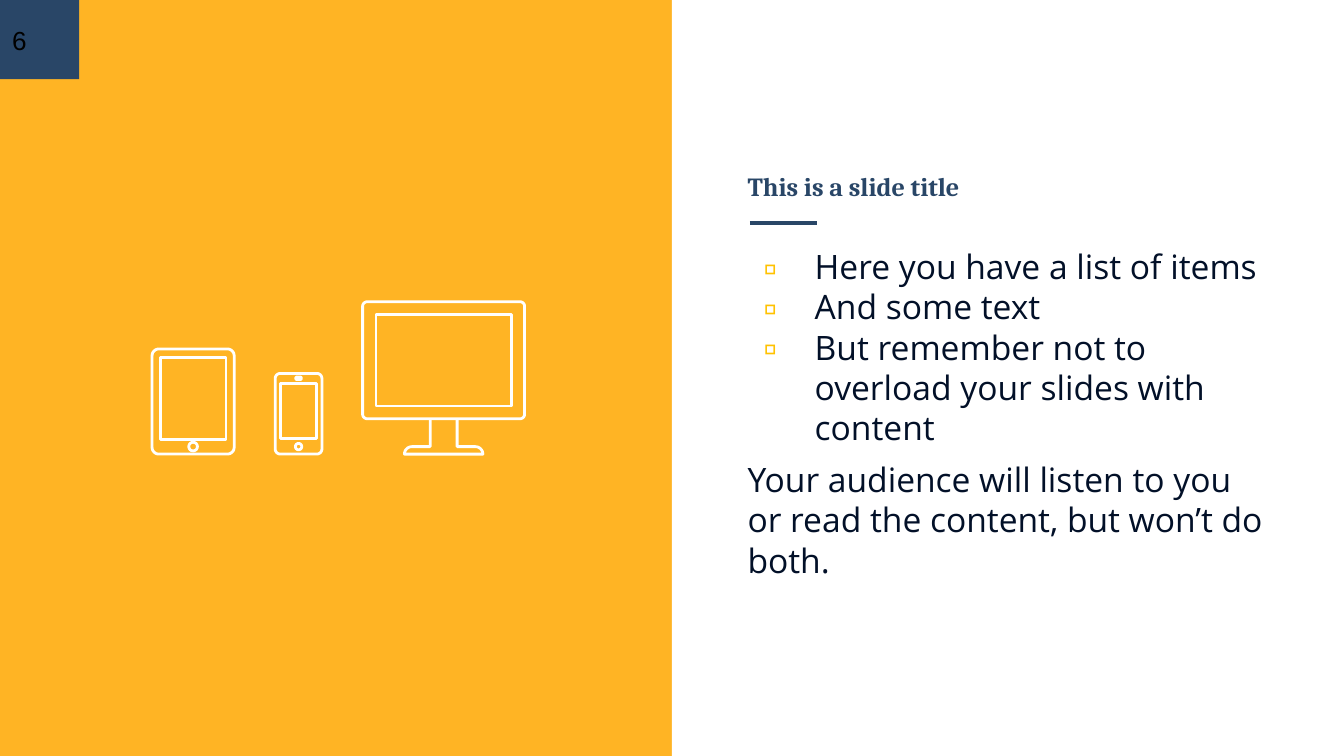
import math

from lxml import etree
from pptx import Presentation
from pptx.dml.color import RGBColor
from pptx.enum.shapes import MSO_CONNECTOR, MSO_SHAPE
from pptx.enum.text import MSO_ANCHOR
from pptx.oxml.ns import qn
from pptx.util import Pt

RECTANGLE = MSO_SHAPE.RECTANGLE
STRAIGHT = MSO_CONNECTOR.STRAIGHT
TOP, MIDDLE, BOTTOM = MSO_ANCHOR.TOP, MSO_ANCHOR.MIDDLE, MSO_ANCHOR.BOTTOM

WHITE = RGBColor(0xFF, 0xFF, 0xFF)
BLACK = RGBColor(0x00, 0x00, 0x00)
AMBER = RGBColor(0xFF, 0xA8, 0x00)
YELLOW = RGBColor(0xFF, 0xC2, 0x00)
NAVY = RGBColor(0x29, 0x46, 0x67)
INK = RGBColor(0x02, 0x10, 0x28)

ITEMS = [
    "Here you have a list of items",
    "And some text",
    "But remember not to overload your slides with content",
]
CLOSING = "Your audience will listen to you or read the content, but won’t do both."


def add_panel(page, box, color, opacity=100):
    panel = page.shapes.add_shape(RECTANGLE, *map(Pt, box))
    panel.shadow.inherit = False
    panel.fill.solid()
    panel.fill.fore_color.rgb = color
    panel.line.fill.background()
    if opacity < 100:
        tint = panel.fill._xPr.find(qn("a:solidFill"))[0]
        etree.SubElement(tint, qn("a:alpha"), val=str(opacity * 1000))


def add_text(page, box, lines, font, size, color, anchor=TOP, bold=False):
    frame = page.shapes.add_textbox(*map(Pt, box)).text_frame
    frame.word_wrap = True
    frame.vertical_anchor = anchor
    frame.margin_left = frame.margin_right = Pt(7.2)
    frame.margin_top = frame.margin_bottom = Pt(7.2)
    frame.text = "\n".join(lines)
    for para in frame.paragraphs:
        for span in para.runs:
            span.font.name = font
            span.font.size = Pt(size)
            span.font.bold = bold
            span.font.color.rgb = color
    return frame


def add_bullet(para):
    properties = para._p.get_or_add_pPr()
    properties.set("marL", str(Pt(36)))
    properties.set("indent", str(Pt(-27.36)))
    tint = etree.SubElement(properties, qn("a:buClr"))
    etree.SubElement(tint, qn("a:srgbClr"), val=str(YELLOW))
    etree.SubElement(properties, qn("a:buFont"), typeface="Open Sans")
    etree.SubElement(properties, qn("a:buChar"), char="▫")


def arc(x, y, radius, start, end, steps=8):
    angles = [math.radians(start + (end - start) * i / steps) for i in range(steps + 1)]
    return [(x + radius * math.cos(a), y + radius * math.sin(a)) for a in angles]


def rounded(left, top, width, height, radius=0):
    if radius == 0:
        right, bottom = left + width, top + height
        return [(left, top), (right, top), (right, bottom), (left, bottom)]
    near_x, far_x = left + radius, left + width - radius
    near_y, far_y = top + radius, top + height - radius
    return (arc(near_x, near_y, radius, 180, 270) + arc(far_x, near_y, radius, 270, 360)
            + arc(far_x, far_y, radius, 0, 90) + arc(near_x, far_y, radius, 90, 180))


def add_outline(group, left, top, contours, close=True):
    placed = [[(Pt(left + x), Pt(top + y)) for x, y in contour] for contour in contours]
    builder = group.shapes.build_freeform(*placed[0][0])
    for index, contour in enumerate(placed):
        if index:
            builder.move_to(*contour[0])
        builder.add_line_segments(contour[1:], close=close)
    outline = builder.convert_to_shape()
    outline.shadow.inherit = False
    outline.fill.background()
    outline.line.color.rgb = WHITE
    outline.line.width = Pt(1.5)


def add_tablet(group, box):
    left, top, width, height = box
    add_outline(group, left, top, [
        rounded(0, 0, width, height, 3.6),
        rounded(width / 2 - 2.3, height - 6.3, 4.6, 4.6, 2.3),
        rounded(4.4, 4.4, width - 8.8, 44),
    ])


def add_phone(group, box):
    left, top, width, height = box
    add_outline(group, left, top, [
        rounded(0, 0, width, height, 2.7),
        rounded(width / 2 - 1.5, 1.9, 3, 1.4, 0.7),
        rounded(width / 2 - 1.7, height - 5.7, 3.4, 3.4, 1.7),
        rounded(2.8, 5.2, width - 5.6, 29.7),
    ])


def add_monitor(group, box):
    left, top, width, height = box
    screen_height, foot, middle = 62.7, 4, width / 2
    base_top = height - foot
    add_outline(group, left, top, [
        rounded(0, 0, width, screen_height, 2.5),
        rounded(7.2, 6.9, width - 14.4, 49),
    ])
    stand = ([(middle - 7.2, screen_height), (middle - 7.2, base_top)]
             + arc(middle - 17, height, foot, 270, 180)
             + arc(middle + 17, height, foot, 360, 270)
             + [(middle + 7.2, base_top), (middle + 7.2, screen_height)])
    add_outline(group, left, top, [stand], close=False)


def add_devices(page, box):
    left, top, width, height = box
    bottom = top + height
    group = page.shapes.add_group_shape()
    add_tablet(group, (left, bottom - 56.3, 44, 56.3))
    add_phone(group, (left + 66, bottom - 43.2, 25, 43.2))
    add_monitor(group, (left + width - 86.8, top, 86.8, height))


def add_picture_side(page, box):
    left, top, width, height = box
    add_panel(page, box, AMBER, opacity=86)
    corner = (left, top, 42.4, 42.4)
    add_panel(page, corner, NAVY)
    add_text(page, (left - 0.6, top, 43, 42.4), ["6"], "Arial", 14, BLACK, MIDDLE)
    add_devices(page, (left + 81.5, top + 161.7, 199.6, 81.6))


def add_content_side(page, box):
    left, top, width, height = box
    add_panel(page, box, WHITE)
    text_left, text_width = left + 33.4, width - 69
    add_text(page, (text_left, top + 54.7, text_width, 60.5),
             ["This is a slide title"], "Cambria", 14, NAVY, BOTTOM, bold=True)

    rule_y = Pt(top + 119.5)
    rule = page.shapes.add_connector(STRAIGHT, Pt(left + 41.8), rule_y, Pt(left + 77.8), rule_y)
    rule.line.color.rgb = NAVY
    rule.line.width = Pt(2.25)
    etree.SubElement(rule._element.spPr, qn("a:effectLst"))

    body = add_text(page, (text_left, top + 124.6, text_width, 262.8),
                    ITEMS + [CLOSING], "Open Sans", 18, INK)
    paras = body.paragraphs
    paras[0].space_before = paras[-1].space_before = Pt(6)
    for para in paras[:-1]:
        add_bullet(para)


def main():
    deck = Presentation()
    deck.slide_width, deck.slide_height = Pt(720), Pt(405)
    page = deck.slides.add_slide(deck.slide_layouts[6])
    add_picture_side(page, (0, 0, 360, 405))
    add_content_side(page, (360, 0, 360, 405))
    deck.save("out.pptx")


if __name__ == "__main__":
    main()
